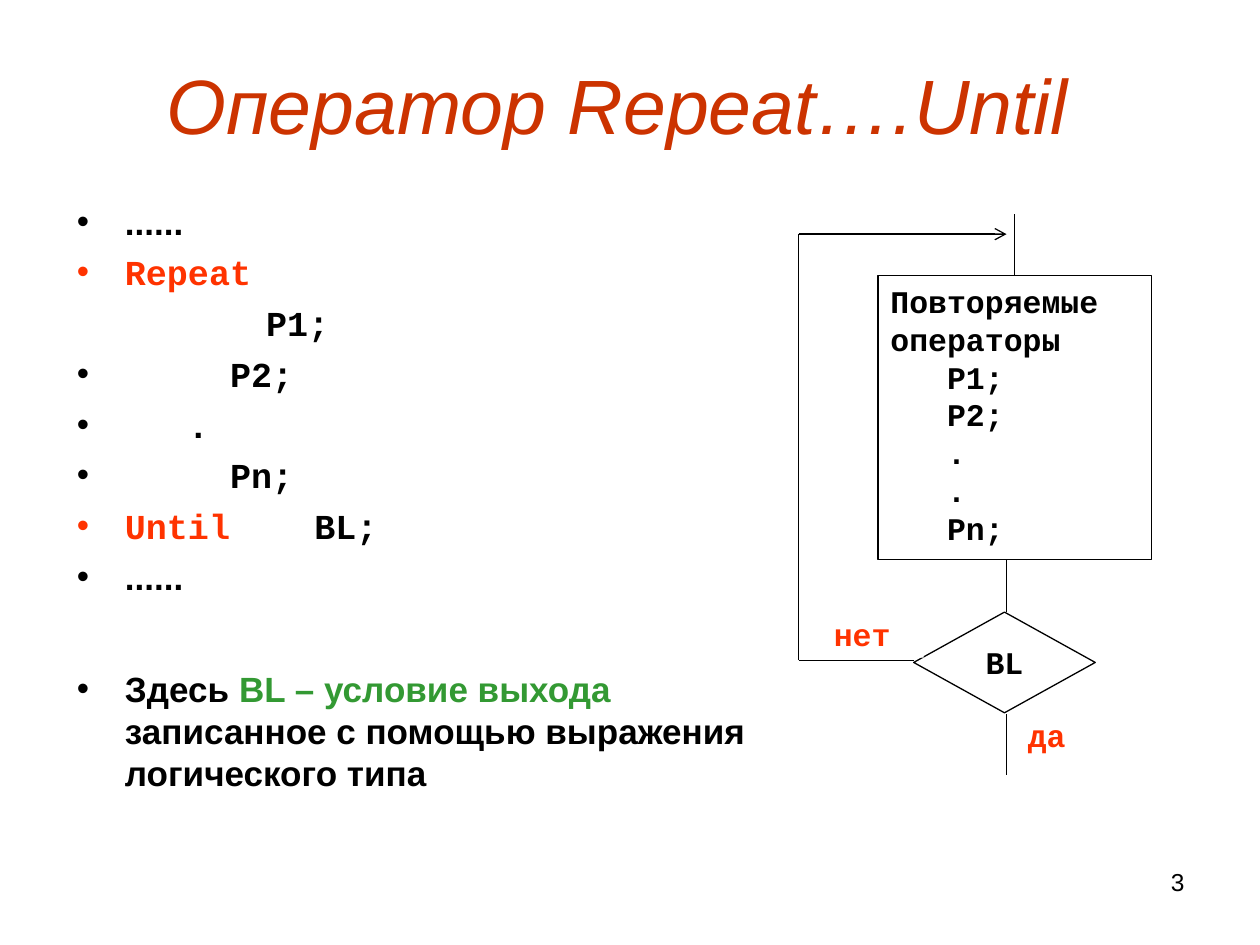
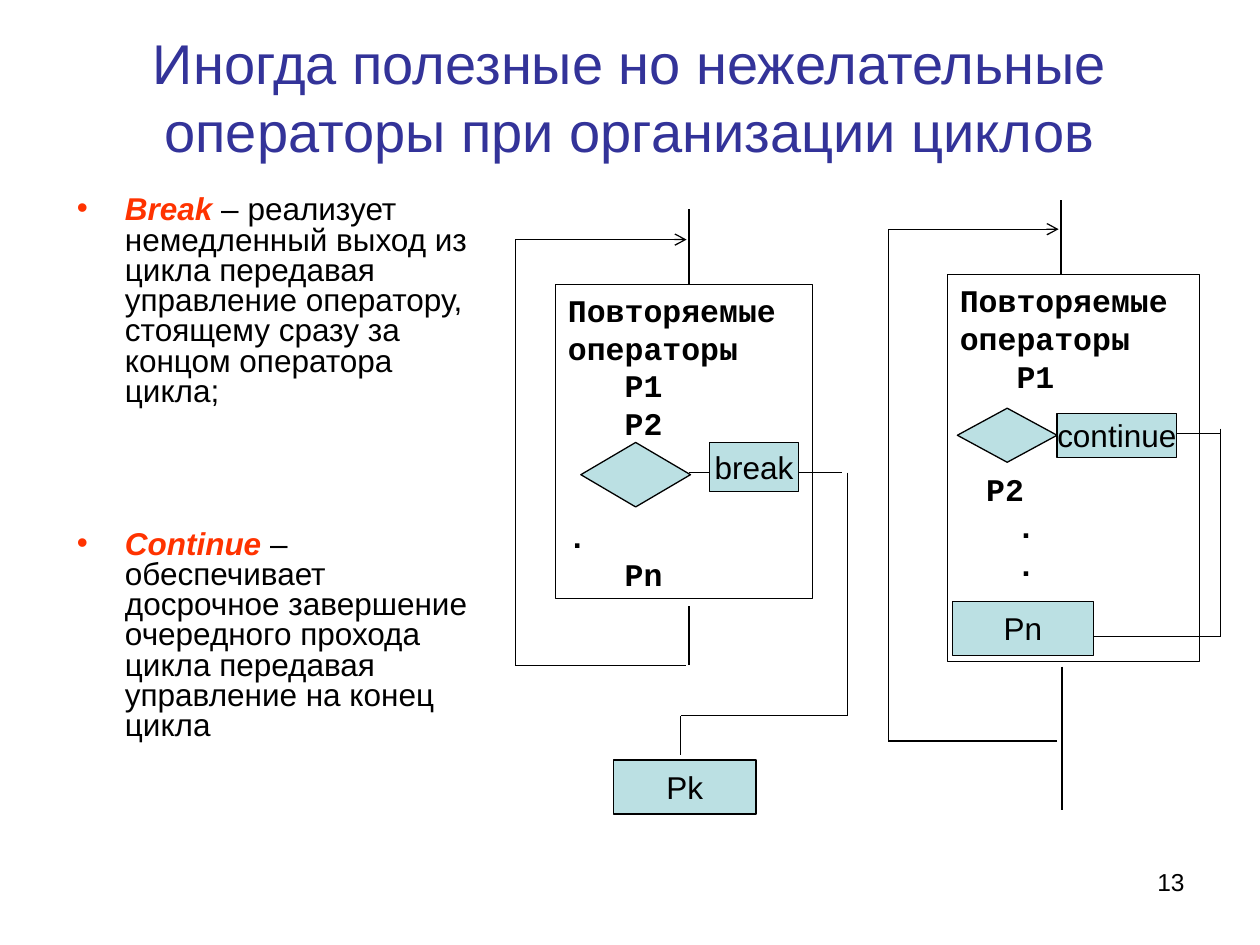
"""Build two slides about loop operators, each with notes and flowcharts."""
from lxml.etree import SubElement
from pptx import Presentation
from pptx.dml.color import RGBColor
from pptx.enum.shapes import MSO_CONNECTOR, MSO_SHAPE
from pptx.enum.text import MSO_ANCHOR, PP_ALIGN
from pptx.oxml.ns import qn
from pptx.util import Cm, Pt

BLACK, WHITE, RED, GREEN, TEAL = "000000", "FFFFFF", "FF3300", "339933", "BBE0E3"
SANS, MONO = "Arial", "Courier New"
HANG = 0.97
NUMBER_AREA = (18.21, 17.35, 5.92, 1.32)

CODE = dict(size=18, font=MONO, bold=True)
ANSWER = dict(CODE, fill=WHITE, color=RED)
BLOCK = dict(CODE, fill=WHITE, line=BLACK)
CHIP = dict(size=18, fill=TEAL, line=BLACK, align=PP_ALIGN.CENTER,
            anchor=MSO_ANCHOR.MIDDLE, wrap=False, shape=MSO_SHAPE.FLOWCHART_PROCESS)
TEST = dict(CHIP, shape=MSO_SHAPE.FLOWCHART_DECISION)
CONDITION = dict(BLOCK, align=PP_ALIGN.CENTER, shape=MSO_SHAPE.FLOWCHART_DECISION)
TERM = dict(color=RED, bold=True, italic=True)
MONO_RED = dict(font=MONO, color=RED)


def item(*runs, bullet=BLACK, **options):
    return dict(runs=runs, bullet=bullet, hang=HANG, **options)


def code_item(text, **options):
    return item((text, dict(font=MONO)), **options)


SLIDES = [
    dict(
        title=["Оператор Repeat….Until"],
        title_area=(0.89, 0.81, 23.14, 2.57),
        title_format=dict(size=44, color="CC3300", italic=True),
        body=[
            item("......"),
            item(("Repeat", MONO_RED), bullet=RED),
            code_item("         P1;", bullet=None),
            code_item("     P2;"),
            code_item("   ."),
            code_item("     Pn;"),
            item(("Until    ", MONO_RED), ("BL;", dict(font=MONO)), bullet=RED),
            item("......"),
            item("Здесь ", ("BL – условие выхода", dict(color=GREEN)),
                 " записанное с помощью выражения логического типа", before=40),
        ],
        body_area=(1.3, 3.91, 14.71, 12.5),
        body_format=dict(size=20, bold=True, before=5),
        parts=[
            ((17.7, 5.56, 5.51, 5.72),
             ["Повторяемые", "операторы", "   Р1;", "   Р2;", "   .", "   .", "   Рn;"], BLOCK),
            ((18.42, 12.34, 3.66, 2.03), ["BL"], CONDITION),
            ((20.47, 14.3, 1.63, 1.04), ["да"], ANSWER),
            ((16.56, 12.27, 2.06, 0.99), ["нет"], ANSWER),
        ],
        paths=[
            [(20.45, 4.32), (20.45, 5.56)],
            [(20.29, 11.28), (20.29, 12.34)],
            [(20.29, 14.4), (20.29, 15.62)],
        ],
        loops=[[(18.42, 13.31), (16.1, 13.31), (16.1, 4.72), (20.29, 4.72)]],
        number="3",
    ),
    dict(
        title=["Иногда полезные но нежелательные операторы при организации циклов"],
        title_area=(1.27, 0.76, 22.86, 2.36),
        title_format=dict(size=32, color="333399"),
        body=[
            item(("Break", TERM), " – реализует немедленный выход из цикла передавая управление "
                 "оператору, стоящему сразу за концом оператора цикла;", bullet=RED),
            item(("Continue ", TERM), "– обеспечивает досрочное завершение очередного прохода "
                 "цикла передавая управление на конец цикла", bullet=RED, before=70),
        ],
        body_area=(1.3, 3.84, 8.51, 12.57),
        body_format=dict(size=18, before=4.5, spacing=0.8),
        parts=[
            ((11.2, 5.74, 5.18, 6.32),
             ["Повторяемые операторы", "   Р1", "   Р2", dict(runs=["."], before=43), "   Рn"],
             BLOCK),
            ((11.71, 8.92, 2.21, 1.3), [], TEST),
            ((14.3, 8.92, 1.8, 0.99), ["break"], CHIP),
            ((12.37, 15.32, 2.87, 1.09), ["Pk"], CHIP),
            ((19.1, 5.54, 5.08, 7.8),
             ["Повторяемые операторы", "   Р1", dict(runs=["Р2"], before=43, left=0.53),
              "   .", "   ."], BLOCK),
            ((19.3, 8.23, 2.01, 1.09), [], TEST),
            ((21.31, 8.33, 2.41, 0.89), ["continue"], CHIP),
            ((19.2, 12.12, 2.84, 1.09), ["Pn"], CHIP),
        ],
        paths=[
            [(13.89, 4.22), (13.89, 5.74)],
            [(13.89, 12.22), (13.89, 13.41)],
            [(13.89, 9.53), (14.3, 9.53)],
            [(16.1, 9.53), (16.97, 9.53)],
            [(17.09, 9.53), (17.09, 14.43), (13.72, 14.43), (13.72, 15.21)],
            [(21.39, 4.04), (21.39, 5.54)],
            [(21.41, 13.44), (21.41, 16.33)],
            [(23.72, 8.74), (24.61, 8.74)],
            [(24.61, 8.64), (24.61, 12.83), (22.04, 12.83)],
        ],
        loops=[
            [(13.82, 13.41), (10.39, 13.41), (10.39, 4.83), (13.84, 4.83)],
            [(21.31, 14.94), (17.91, 14.94), (17.91, 4.62), (21.34, 4.62)],
        ],
        number="13",
    ),
]


def rgb(value):
    return RGBColor.from_string(value)


def style_run(run, size, font=SANS, color=BLACK, bold=False, italic=False):
    run.font.size, run.font.name = Pt(size), font
    run.font.bold, run.font.italic = bold, italic
    run.font.color.rgb = rgb(color)


def indent(paragraph, left=0, hang=0, bullet=None):
    properties = paragraph._p.get_or_add_pPr()
    properties.set("marL", str(Cm(left + hang)))
    properties.set("indent", str(-Cm(hang)))
    if bullet:
        SubElement(SubElement(properties, qn("a:buClr")), qn("a:srgbClr"), val=bullet)
        SubElement(properties, qn("a:buFont"), typeface=SANS)
        SubElement(properties, qn("a:buChar"), char="•")


def write(slide, area, paragraphs, shape=MSO_SHAPE.RECTANGLE, fill=None, line=None,
          align=PP_ALIGN.LEFT, anchor=MSO_ANCHOR.TOP, wrap=True, before=0, spacing=None,
          **run_format):
    place = [Cm(length) for length in area]
    if fill:
        holder = slide.shapes.add_shape(shape, *place)
        holder.shadow.inherit = False
        holder.fill.solid()
        holder.fill.fore_color.rgb = rgb(fill)
        if line:
            holder.line.color.rgb, holder.line.width = rgb(line), Pt(0.75)
        else:
            holder.line.fill.background()
    else:
        holder = slide.shapes.add_textbox(*place)
    frame = holder.text_frame
    frame.word_wrap, frame.vertical_anchor = wrap, anchor
    for index, content in enumerate(paragraphs):
        if isinstance(content, str):
            content = dict(runs=[content])
        paragraph = frame.add_paragraph() if index else frame.paragraphs[0]
        indent(paragraph, content.get("left", 0), content.get("hang", 0), content.get("bullet"))
        paragraph.alignment = align
        if index:
            paragraph.space_before = Pt(content.get("before", before))
        if spacing:
            paragraph.line_spacing = spacing
        for piece in content["runs"]:
            text, changes = (piece, {}) if isinstance(piece, str) else piece
            run = paragraph.add_run()
            run.text = text
            style_run(run, **{**run_format, **changes})


def draw_path(slide, points, arrow=False):
    for start, end in zip(points, points[1:]):
        segment = slide.shapes.add_connector(
            MSO_CONNECTOR.STRAIGHT, *(Cm(length) for length in start + end))
        segment.line.color.rgb, segment.line.width = rgb(BLACK), Pt(0.75)
        SubElement(segment._element.spPr, qn("a:effectLst"))
    if arrow:
        SubElement(segment.line._get_or_add_ln(), qn("a:tailEnd"), type="arrow")


def build_slide(deck, content):
    slide = deck.slides.add_slide(deck.slide_layouts[6])
    write(slide, content["title_area"], content["title"], align=PP_ALIGN.CENTER,
          anchor=MSO_ANCHOR.MIDDLE, **content["title_format"])
    write(slide, content["body_area"], content["body"], **content["body_format"])
    for area, text, look in content["parts"]:
        write(slide, area, text, **look)
    for points in content["paths"]:
        draw_path(slide, points)
    for points in content["loops"]:
        draw_path(slide, points, arrow=True)
    write(slide, NUMBER_AREA, [content["number"]], size=14, align=PP_ALIGN.RIGHT)


def main():
    deck = Presentation()
    deck.slide_width, deck.slide_height = Cm(25.4), Cm(19.05)
    for content in SLIDES:
        build_slide(deck, content)
    deck.save("out.pptx")


if __name__ == "__main__":
    main()
